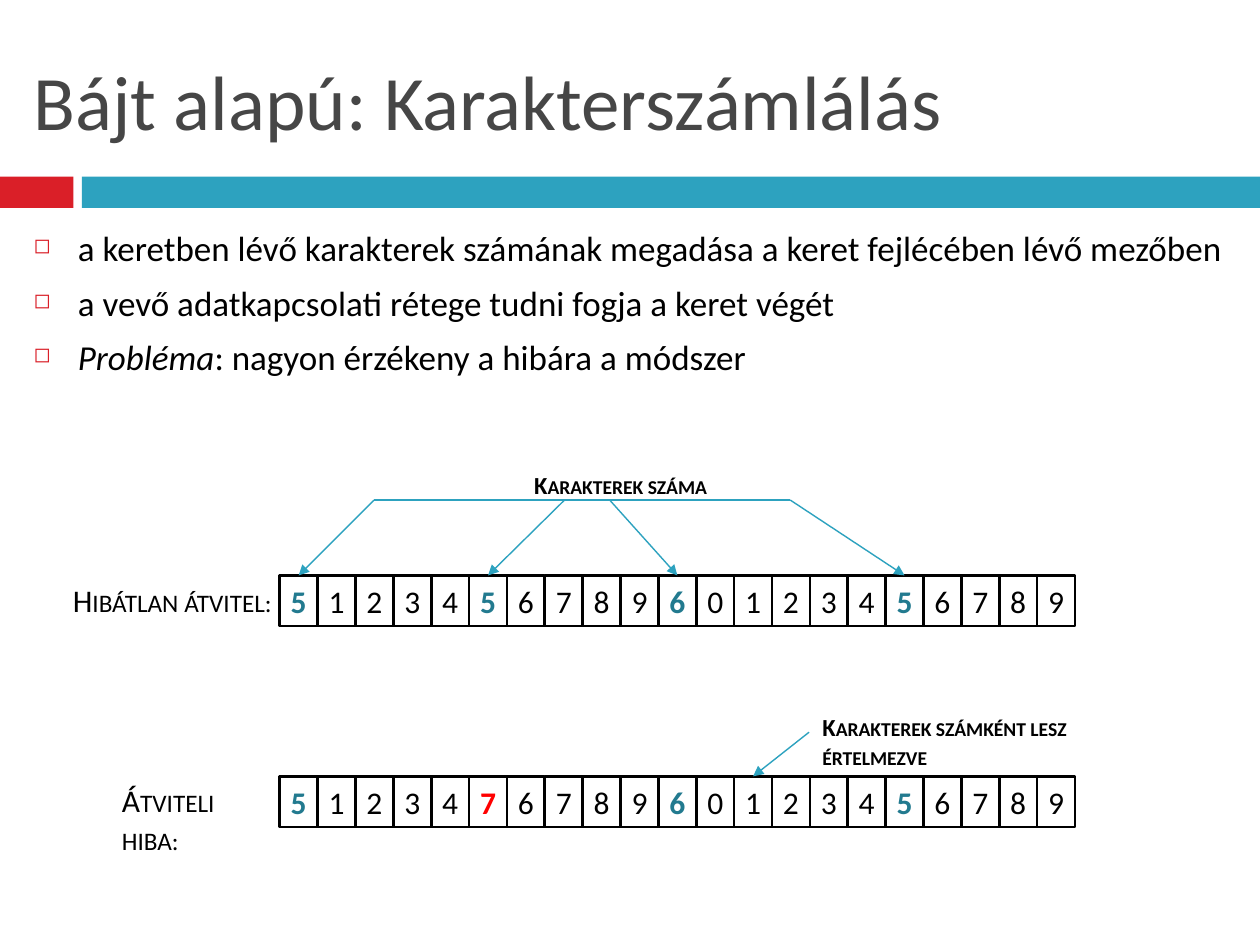
from lxml.etree import SubElement
from pptx import Presentation
from pptx.dml.color import RGBColor
from pptx.enum.shapes import MSO_CONNECTOR, MSO_SHAPE
from pptx.enum.text import MSO_ANCHOR, MSO_AUTO_SIZE, PP_ALIGN
from pptx.oxml.ns import qn
from pptx.util import Cm, Pt

COLORS = {
    "red": "DA1F28",
    "blue": "2DA2BF",
    "title": "464646",
    "text": "000000",
    "count": "227A8F",
    "error": "FF0000",
}
FONT = "Calibri"

# Character rows (cm)
ROW_LEFT, ROW_RIGHT = 5.64, 21.67
CELL_HEIGHT = 1.02
GOOD_TOP, BAD_TOP = 11.6, 15.65
CHARACTERS = "512345678960123456789"
BAD_CHARACTERS = "512347678960123456789"
COUNT_POSITIONS = (0, 5, 10, 16)
CELL_WIDTH = (ROW_RIGHT - ROW_LEFT) / len(CHARACTERS)


def color(name):
    return RGBColor.from_string(COLORS[name])


def add_run(paragraph, text, size=18, fill="text", bold=False, italic=False,
            small_caps=False):
    run = paragraph.add_run()
    run.text = text
    font = run.font
    font.name, font.size = FONT, Pt(size)
    font.bold, font.italic = bold, italic
    font.color.rgb = color(fill)
    if small_caps:
        font._element.set("cap", "small")


def add_text_box(slide, left, top, width, height, anchor=MSO_ANCHOR.TOP, grow=False):
    box = slide.shapes.add_textbox(Cm(left), Cm(top), Cm(width), Cm(height))
    frame = box.text_frame
    frame.word_wrap = True
    frame.vertical_anchor = anchor
    if grow:
        frame.auto_size = MSO_AUTO_SIZE.SHAPE_TO_FIT_TEXT
    return frame


def add_label(slide, text, left, top, width, height, **text_format):
    frame = add_text_box(slide, left, top, width, height, grow=True)
    add_run(frame.paragraphs[0], text, small_caps=True, **text_format)


def add_rectangle(slide, left, top, width, height, fill=None, line=None):
    shape = slide.shapes.add_shape(
        MSO_SHAPE.RECTANGLE, Cm(left), Cm(top), Cm(width), Cm(height))
    shape.shadow.inherit = False
    if fill:
        shape.fill.solid()
        shape.fill.fore_color.rgb = color(fill)
    else:
        shape.fill.background()
    if line:
        shape.line.color.rgb = color(line)
        shape.line.width = Pt(1.5)
    else:
        shape.line.fill.background()
    return shape


def add_bullet(paragraph):
    properties = paragraph._p.get_or_add_pPr()
    properties.set("marL", str(Cm(0.89)))
    properties.set("indent", str(-Cm(0.89)))
    paragraph.space_before = Pt(7)
    bullet_color = SubElement(properties, qn("a:buClr"))
    SubElement(bullet_color, qn("a:srgbClr"), val=COLORS["red"])
    SubElement(properties, qn("a:buSzPct"), val="60000")
    SubElement(properties, qn("a:buChar"), char="◻")


def add_character_row(slide, characters, top, error_position=None):
    for index, character in enumerate(characters):
        cell = add_rectangle(slide, ROW_LEFT + index * CELL_WIDTH, top,
                             CELL_WIDTH, CELL_HEIGHT, line="text")
        frame = cell.text_frame
        frame.margin_left = frame.margin_right = 0
        frame.vertical_anchor = MSO_ANCHOR.MIDDLE
        paragraph = frame.paragraphs[0]
        paragraph.alignment = PP_ALIGN.CENTER
        if index == error_position:
            fill = "error"
        elif index in COUNT_POSITIONS:
            fill = "count"
        else:
            fill = "text"
        add_run(paragraph, character, fill=fill, bold=fill != "text")


def add_line(slide, start, end, arrow=True):
    connector = slide.shapes.add_connector(
        MSO_CONNECTOR.STRAIGHT, *(Cm(value) for value in (*start, *end)))
    connector.line.color.rgb = color("blue")
    connector.line.width = Pt(0.79)
    if arrow:
        SubElement(connector.line._get_or_add_ln(), qn("a:tailEnd"), type="triangle")
    SubElement(connector._element.spPr, qn("a:effectLst"))


def cell_center(index):
    return ROW_LEFT + (index + 0.5) * CELL_WIDTH


def main():
    presentation = Presentation()
    presentation.slide_width, presentation.slide_height = Cm(25.4), Cm(19.05)
    slide = presentation.slides.add_slide(presentation.slide_layouts[6])

    # Title and the bars below it
    add_rectangle(slide, 0, 3.56, 1.48, 0.63, fill="red")
    add_rectangle(slide, 1.65, 3.56, 23.75, 0.63, fill="blue")
    title = add_text_box(slide, 0.43, 0.64, 24.56, 2.74, anchor=MSO_ANCHOR.MIDDLE)
    add_run(title.paragraphs[0], "Bájt alapú: Karakterszámlálás", size=44, fill="title")

    # Bullets: each is a list of (text, italic)
    bullets = [
        [("a keretben lévő karakterek számának megadása a keret fejlécében lévő mezőben",
          False)],
        [("a vevő adatkapcsolati rétege tudni fogja a keret végét", False)],
        [("Probléma", True), (": nagyon érzékeny a hibára a módszer", False)],
    ]
    body = add_text_box(slide, 0.43, 4.45, 24.56, 14.17)
    for index, pieces in enumerate(bullets):
        paragraph = body.add_paragraph() if index else body.paragraphs[0]
        add_bullet(paragraph)
        for text, italic in pieces:
            add_run(paragraph, text, size=20, italic=italic)

    # Error-free transmission
    add_label(slide, "Hibátlan átvitel:", 1.22, 11.58, 4.57, 1.02)
    add_character_row(slide, CHARACTERS, GOOD_TOP)
    bar_top = 10.08
    bar_left, bar_right = 7.54, 15.93
    add_line(slide, (bar_left, bar_top), (bar_right, bar_top), arrow=False)
    for start, index in zip((bar_left, 11.38, 12.29, bar_right), COUNT_POSITIONS):
        add_line(slide, (start, bar_top), (cell_center(index), GOOD_TOP))
    add_label(slide, "Karakterek száma", 10.52, 9.35, 5.41, 0.86, size=14, bold=True)

    # Transmission error
    add_label(slide, "Átviteli hiba:", 2.21, 15.62, 3.4, 1.02)
    add_character_row(slide, BAD_CHARACTERS, BAD_TOP, error_position=5)
    add_line(slide, (16.31, 14.76), (cell_center(12), BAD_TOP))
    add_label(slide, "Karakterek számként lesz értelmezve", 16.33, 14.22, 6.02, 1.45,
              size=14, bold=True)

    presentation.save("out.pptx")


if __name__ == "__main__":
    main()
